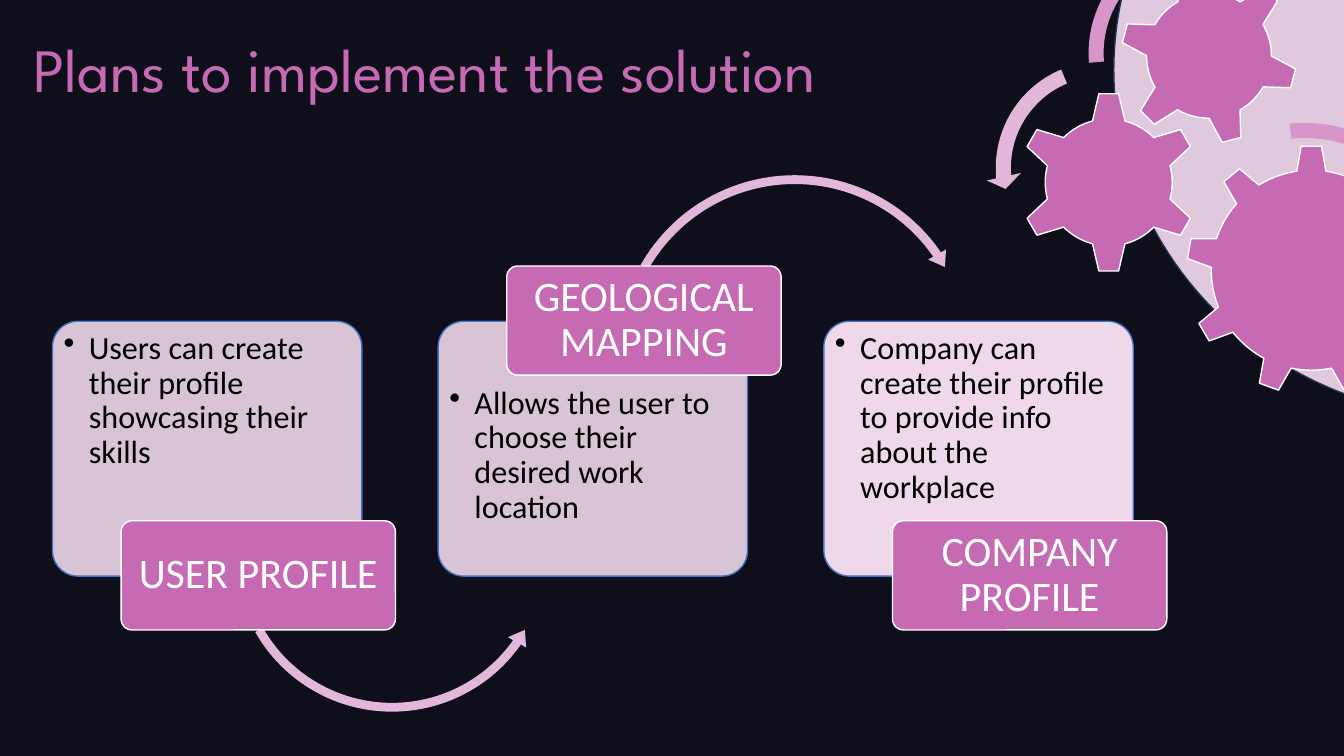
import pptx
import pptx.dml.color
import pptx.enum.shapes
import pptx.enum.text
import pptx.util
from lxml import etree
from pptx.oxml.ns import qn

Pt = pptx.util.Pt
Kind = pptx.enum.shapes.MSO_SHAPE
Align = pptx.enum.text.PP_ALIGN
Anchor = pptx.enum.text.MSO_ANCHOR
RGB = pptx.dml.color.RGBColor

NIGHT = RGB(0x0F, 0x0F, 0x1B)
PINK = RGB(0xC6, 0x6A, 0xB3)
ROSE = RGB(0xD7, 0x95, 0xC9)
BLUSH = RGB(0xE3, 0xB7, 0xDA)
PALE = RGB(0xF0, 0xD8, 0xEB)
NAVY = RGB(0x1E, 0x32, 0x56)
BLUE = RGB(0x44, 0x72, 0xC4)
WHITE = RGB(0xFF, 0xFF, 0xFF)
BLACK = RGB(0, 0, 0)

deck = pptx.Presentation()
deck.slide_width, deck.slide_height = Pt(960), Pt(540)
slide = deck.slides.add_slide(deck.slide_layouts[6])
slide.background.fill.solid()
slide.background.fill.fore_color.rgb = NIGHT


def draw(kind, box, fill, line=None, adj=(), alpha=100):
    """Add a preset shape; box is left, top, width, height; alpha in percent."""
    shape = slide.shapes.add_shape(kind, *[Pt(n) for n in box])
    shape.shadow.inherit = False
    for i, value in enumerate(adj):
        shape.adjustments[i] = value
    shape.fill.solid()
    shape.fill.fore_color.rgb = fill
    if alpha < 100:
        tint = shape.element.spPr.find(qn("a:solidFill")).find(qn("a:srgbClr"))
        etree.SubElement(tint, qn("a:alpha")).set("val", str(alpha * 1000))
    if line is None:
        shape.line.fill.background()
    else:
        shape.line.color.rgb = line
        shape.line.width = Pt(1)
    return shape


def write(shape, text, size, color, font="Calibri", inset=None):
    """Put one run in a shape; inset is left, top, right, bottom."""
    frame = shape.text_frame
    frame.word_wrap = True
    if inset:
        (frame.margin_left, frame.margin_top,
         frame.margin_right, frame.margin_bottom) = [Pt(n) for n in inset]
    para = frame.paragraphs[0]
    run = para.add_run()
    run.text = text
    run.font.size = Pt(size)
    run.font.name = font
    run.font.color.rgb = color
    return para


# Corner decoration
draw(Kind.OVAL, (795.6, -198.7, 521.3, 497.5), PALE, NAVY, alpha=93)
gears = [
    (Kind.GEAR_9, 847.4, 103.7, 178.6, 0),
    (Kind.GEAR_6, 727.2, 65.5, 129.6, 0),
    (Kind.GEAR_6, 799.9, -23.8, 127.4, 345),
]
for kind, left, top, side, turn in gears:
    gear = draw(kind, (left, top, side, side), PINK, WHITE)
    gear.rotation = turn

swirls = [
    (Kind.CIRCULAR_ARROW, 817.2, 80.6, 229, ROSE,
     (0.047, 2.99, 25.146, 158.647, 0.055)),
    (Kind.LEFT_CIRCULAR_ARROW, 704.2, 36.7, 166.3, BLUSH,
     (0.065, 4.3, 104.891, 148.378, 0.075)),
    (Kind.CIRCULAR_ARROW, 770.4, -51.8, 179.3, ROSE,
     (0.06, 3.941, 133.138, 105.082, 0.07)),
]
for kind, left, top, side, fill, adj in swirls:
    draw(kind, (left, top, side, side), fill, adj=adj)

title = slide.shapes.add_textbox(Pt(16.6), Pt(18.7), Pt(686.2), Pt(82.1))
write(title, "Plans to implement the solution", 44, PINK, "League Spartan")
title.text_frame.auto_size = pptx.enum.text.MSO_AUTO_SIZE.SHAPE_TO_FIT_TEXT

# Process steps: name, detail, label on top, card opacity, arrow to the next step
steps = [
    ("USER PROFILE", "Users can create their profile showcasing their skills",
     False, 90,
     (Kind.LEFT_CIRCULAR_ARROW, 163.4, 279.4, 233.3,
      (0.027, 3.315, 21.071, 90.245, 0.032))),
    ("GEOLOGICAL MAPPING",
     "Allows the user to choose their desired work location",
     True, 90,
     (Kind.CIRCULAR_ARROW, 437, 121, 261.4,
      (0.024, 2.938, 195.307, 125.755, 0.028))),
    ("COMPANY PROFILE",
     "Company can create their profile to provide info about the workplace",
     False, 100, None),
]
for i, (name, detail, above, alpha, arrow) in enumerate(steps):
    left = 37.5 + 275.5 * i
    card = draw(Kind.ROUNDED_RECTANGLE, (left, 229.5, 221, 182),
                PALE, BLUE, (0.1,), alpha)
    card.text_frame.vertical_anchor = Anchor.TOP
    para = write(card, detail, 23, BLACK,
                 inset=(2.6, 41.2 if above else 2, 2.6, 2))
    para.alignment = Align.LEFT
    para.line_spacing = 0.9
    props = para._p.get_or_add_pPr()
    props.set("marL", str(Pt(18)))
    props.set("indent", str(-Pt(18)))
    etree.SubElement(props, qn("a:buChar")).set("char", "•")

    if arrow:
        kind, x, y, side, adj = arrow
        draw(kind, (x, y, side, side), BLUSH, adj=adj)

    label = draw(Kind.ROUNDED_RECTANGLE,
                 (left + 49, 190 if above else 372, 196, 78),
                 PINK, WHITE, (0.1,))
    label.text_frame.vertical_anchor = Anchor.MIDDLE
    para = write(label, name, 30, WHITE, inset=(4, 3, 4, 3))
    para.alignment = Align.CENTER
    para.line_spacing = 0.9

deck.save("out.pptx")
